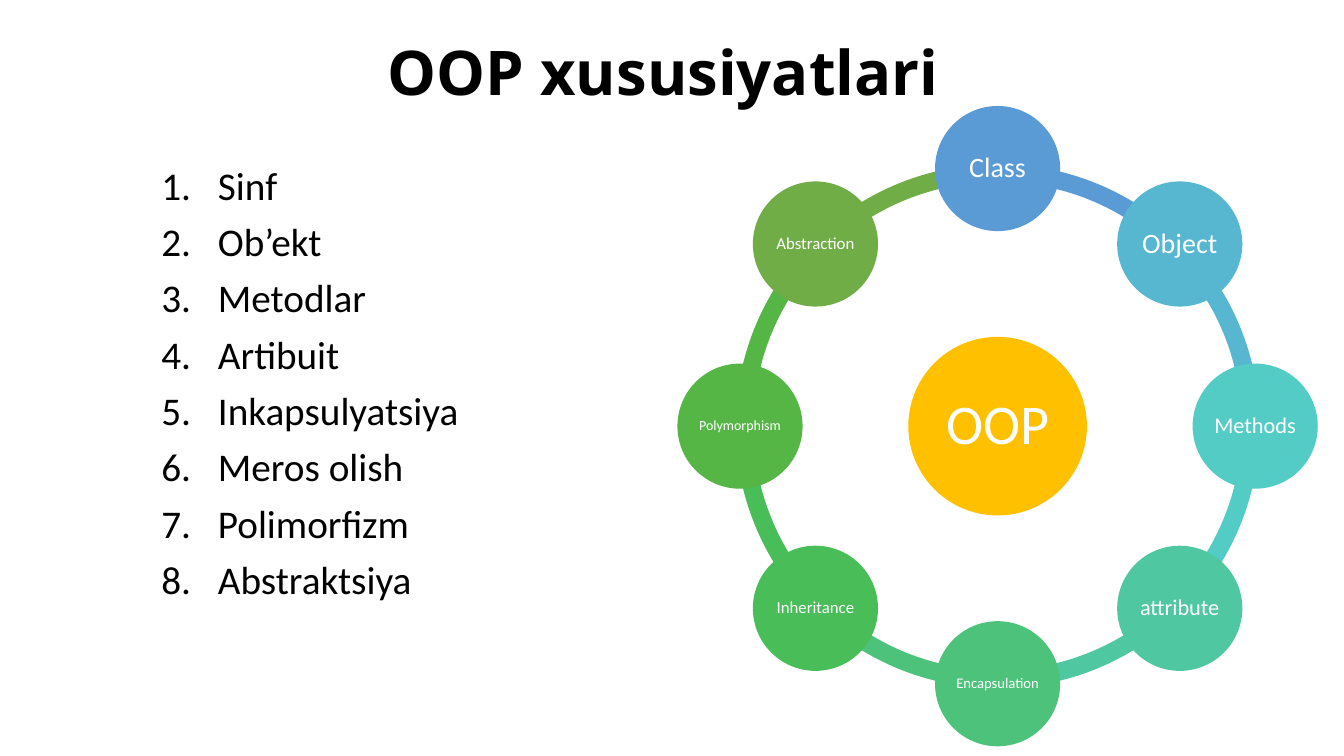
from math import cos, radians, sin

from lxml.etree import SubElement
from pptx import Presentation
from pptx.dml.color import RGBColor
from pptx.enum.shapes import MSO_SHAPE as Preset
from pptx.enum.text import MSO_ANCHOR as Anchor, MSO_AUTO_SIZE as AutoSize, PP_ALIGN as Align
from pptx.oxml.ns import qn
from pptx.util import Pt

COLORS = {
    "text": "000000", "label": "FFFFFF", "hub": "FFC000",
    "class": "5B9BD5", "object": "57B7D1", "methods": "53CCC5",
    "attribute": "4FC7A0", "encapsulation": "4CC27B",
    "inheritance": "48BD58", "polymorphism": "55B646", "abstraction": "70AD47",
}
FEATURES = ["Sinf", "Ob’ekt", "Metodlar", "Artibuit", "Inkapsulyatsiya",
            "Meros olish", "Polimorfizm", "Abstraktsiya"]
# Label and text size, clockwise from the top
NODES = [("Class", 20), ("Object", 20), ("Methods", 16), ("attribute", 16),
         ("Encapsulation", 10.5), ("Inheritance", 12), ("Polymorphism", 10),
         ("Abstraction", 12)]

CENTER_X, CENTER_Y = 712.6, 304.4
ORBIT = 184
RING_SIZE, NODE_SIZE, HUB_SIZE = 374.4, 89.4, 127.6
RING_THICKNESS = 0.034
DEGREE = 0.6  # one degree as a python-pptx adjustment value


class SlideBuilder:
    """Holds the text style and the current slide."""

    body_font = "Calibri"
    title_font = "Open Sans"
    line_spacing = 0.9

    def __init__(self, slide):
        """Keep the slide to draw on."""
        self.slide = slide

    def add_text(self, paragraph, text, size, color, font=None, bold=False):
        """Add one formatted run to a paragraph."""
        paragraph.line_spacing = self.line_spacing
        run = paragraph.add_run()
        run.text = text
        run.font.name = font or self.body_font
        run.font.size = Pt(size)
        run.font.bold = bold
        run.font.color.rgb = RGBColor.from_string(COLORS[color])

    def place(self, shape, left, top, width, height):
        """Move and size a placeholder and return its text frame."""
        shape.left, shape.top = Pt(left), Pt(top)
        shape.width, shape.height = Pt(width), Pt(height)
        shape.text_frame.auto_size = AutoSize.NONE
        return shape.text_frame

    def title(self, text, box):
        """Fill the title placeholder."""
        frame = self.place(self.slide.shapes.title, *box)
        frame.vertical_anchor = Anchor.MIDDLE
        paragraph = frame.paragraphs[0]
        paragraph.alignment = Align.CENTER
        self.add_text(paragraph, text, 44, "text", self.title_font, bold=True)

    def numbered_list(self, items, box, indent=40.5):
        """Fill the body placeholder with a numbered list."""
        frame = self.place(self.slide.placeholders[1], *box)
        for index, item in enumerate(items):
            paragraph = frame.add_paragraph() if index else frame.paragraphs[0]
            paragraph.space_before = Pt(10)
            self.add_text(paragraph, item, 28, "text")
            properties = paragraph._p.get_or_add_pPr()
            properties.set("marL", str(Pt(indent)))
            properties.set("indent", str(-Pt(indent)))
            SubElement(properties, qn("a:buFont"), typeface=self.body_font)
            SubElement(properties, qn("a:buAutoNum"), type="arabicPeriod")

    def centered_shape(self, preset, x, y, size, color):
        """Draw a filled square-framed shape around a centre point."""
        shape = self.slide.shapes.add_shape(
            preset, Pt(x - size / 2), Pt(y - size / 2), Pt(size), Pt(size))
        shape.shadow.inherit = False
        shape.fill.solid()
        shape.fill.fore_color.rgb = RGBColor.from_string(COLORS[color])
        shape.line.fill.background()
        return shape

    def arc(self, start, end, color):
        """Draw one segment of the ring, angles in degrees."""
        shape = self.centered_shape(Preset.BLOCK_ARC, CENTER_X, CENTER_Y, RING_SIZE, color)
        values = (start % 360 * DEGREE, end % 360 * DEGREE, RING_THICKNESS)
        for index, value in enumerate(values):
            shape.adjustments[index] = value

    def circle(self, x, y, diameter, color, text, size):
        """Draw a circle with a centred label."""
        shape = self.centered_shape(Preset.OVAL, x, y, diameter, color)
        frame = shape.text_frame
        frame.word_wrap = True
        frame.vertical_anchor = Anchor.MIDDLE
        frame.margin_left = frame.margin_right = Pt(1)
        frame.margin_top = frame.margin_bottom = Pt(1)
        paragraph = frame.paragraphs[0]
        paragraph.alignment = Align.CENTER
        self.add_text(paragraph, text, size, "label")

    def wheel(self, hub, nodes):
        """Draw the ring, the hub and the nodes around it."""
        step = 360 / len(nodes)
        angles = [270 + step * index for index in range(len(nodes))]
        for (label, _), angle in reversed(list(zip(nodes, angles))):
            self.arc(angle, angle + step, label.lower())
        self.circle(CENTER_X, CENTER_Y, HUB_SIZE, "hub", hub, 40)
        for (label, size), angle in zip(nodes, angles):
            x = CENTER_X + ORBIT * cos(radians(angle))
            y = CENTER_Y + ORBIT * sin(radians(angle))
            self.circle(x, y, NODE_SIZE, label.lower(), label, size)


def main():
    """Build and save the presentation."""
    presentation = Presentation()
    presentation.slide_width, presentation.slide_height = Pt(960), Pt(540)
    builder = SlideBuilder(presentation.slides.add_slide(presentation.slide_layouts[1]))
    builder.title("OOP xususiyatlari", (60, 1.5, 828, 104.4))
    builder.numbered_list(FEATURES, (108, 115.2, 408, 342.7))
    builder.wheel("OOP", NODES)
    presentation.save("out.pptx")


main()
